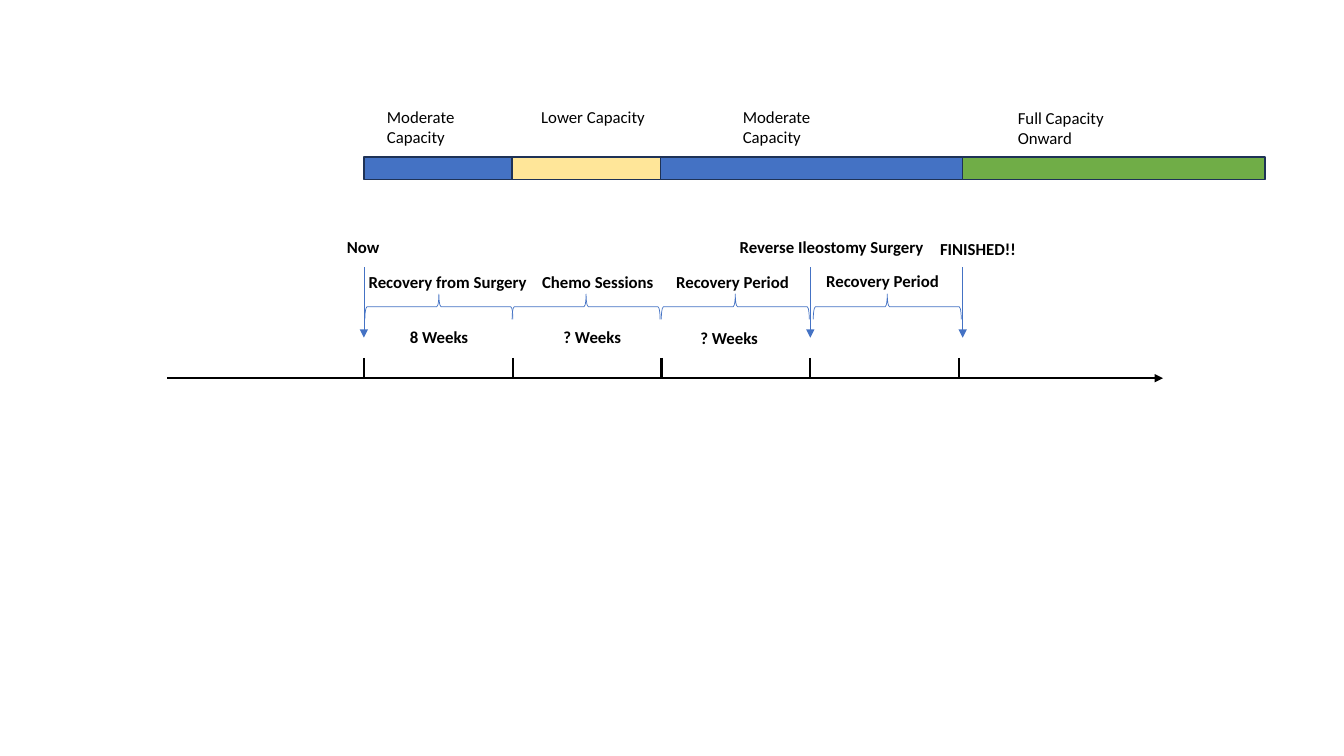
from dataclasses import dataclass

from lxml.etree import SubElement
from pptx import Presentation
from pptx.dml.color import RGBColor as Rgb
from pptx.enum.shapes import MSO_CONNECTOR as Link, MSO_SHAPE as Form
from pptx.enum.text import MSO_AUTO_SIZE as Fit, PP_ALIGN as Align
from pptx.oxml.ns import qn
from pptx.util import Cm, Pt

HUES = {"ink": "000000", "blue": "4472C4", "cream": "FFE699",
        "green": "70AD47", "edge": "1E3256"}
FONT = {"name": "Calibri", "size": Pt(12)}
FRAME = {"word_wrap": True, "auto_size": Fit.SHAPE_TO_FIT_TEXT}


@dataclass
class Label:
    text: str
    left: float
    top: float
    width: float = 6.45
    height: float = 0.77
    bold: bool = True
    align: Align = Align.LEFT


@dataclass
class Bar:
    left: float
    width: float
    hue: str


def tint(name: str) -> Rgb:
    return Rgb.from_string(HUES[name])


def style(item, formats: dict) -> None:
    for key, value in formats.items():
        setattr(item, key, value)


def stroke(shape, hue: str, width: float) -> None:
    shape.line.color.rgb = tint(hue)
    shape.line.width = Pt(width)


def rule(x1: float, y1: float, x2: float, y2: float,
         hue: str, width: float, arrow: bool = False) -> None:
    line = slide.shapes.add_connector(Link.STRAIGHT, Cm(x1), Cm(y1), Cm(x2), Cm(y2))
    stroke(line, hue, width)
    if arrow:
        SubElement(line.line._get_or_add_ln(), qn("a:tailEnd"), type="triangle")
    SubElement(line._element.spPr, qn("a:effectLst"))


def block(form: Form, left: float, top: float, width: float, height: float):
    shape = slide.shapes.add_shape(form, Cm(left), Cm(top), Cm(width), Cm(height))
    shape.shadow.inherit = False
    return shape


def brace(mid: float) -> None:
    depth, span = 0.64, 3.73
    shape = block(Form.LEFT_BRACE, mid - depth / 2, 7.73 - span / 2, depth, span)
    shape.rotation = 90
    shape.fill.background()
    stroke(shape, "blue", 0.5)


def phase(bar: Bar) -> None:
    shape = block(Form.RECTANGLE, bar.left, 3.96, bar.width, 0.56)
    shape.fill.solid()
    shape.fill.fore_color.rgb = tint(bar.hue)
    stroke(shape, "edge", 1)


def write(label: Label) -> None:
    box = slide.shapes.add_textbox(Cm(label.left), Cm(label.top),
                                   Cm(label.width), Cm(label.height))
    style(box.text_frame, FRAME)
    para = box.text_frame.paragraphs[0]
    para.alignment = label.align
    run = para.add_run()
    run.text = label.text
    style(run.font, FONT | {"bold": label.bold})
    run.font.color.rgb = tint("ink")


def level(text: str, left: float, top: float = 2.57, height: float = 1.28) -> Label:
    return Label(text, left, top, 3.25, height, bold=False)


def mid(text: str, left: float, top: float, width: float = 3.43) -> Label:
    return Label(text, left, top, width, align=Align.CENTER)


BARS = [
    Bar(9.17, 3.76, "blue"),
    Bar(12.9, 3.76, "cream"),
    Bar(16.64, 7.62, "blue"),
    Bar(24.26, 7.62, "green"),
]
LABELS = [
    # Capacity levels
    level("Moderate Capacity", 9.5),
    level("Lower Capacity", 13.39, height=0.77),
    level("Moderate Capacity", 18.47),
    level("Full Capacity Onward", 25.4, 2.59),
    # Milestones
    mid("Now", 7.9, 5.84, 2.51),
    Label("Reverse Ileostomy Surgery", 18.39, 5.84),
    Label("FINISHED!!", 23.44, 5.89),
    # Periods
    Label("Recovery from Surgery", 9.04, 6.73),
    Label("Chemo Sessions", 13.41, 6.73),
    Label("Recovery Period", 16.79, 6.73),
    Label("Recovery Period", 20.57, 6.71),
    # Durations
    mid("8 Weeks", 9.35, 8.1),
    mid("? Weeks", 13.21, 8.1),
    mid("? Weeks", 16.66, 8.13),
]

deck = Presentation()
style(deck, {"slide_width": Cm(33.87), "slide_height": Cm(19.05)})
slide = deck.slides.add_slide(deck.slide_layouts[6])

# Time axis with evenly spaced ticks
AXIS, START, STEP = 9.53, 9.17, 3.75
rule(4.22, AXIS, 29.31, AXIS, "ink", 1.5, arrow=True)
for i in range(5):
    tick = START + i * STEP
    rule(tick, AXIS - 0.51, tick, AXIS, "ink", 1.5)

# Milestone arrows
for x in (START, 20.42, 24.26):
    rule(x, 6.73, x, 8.51, "blue", 0.5, arrow=True)

# Period braces
for x in (11.06, 14.77, 18.53, 22.36):
    brace(x)

# Capacity bars
for bar in BARS:
    phase(bar)

# Wording
for label in LABELS:
    write(label)

deck.save("out.pptx")
